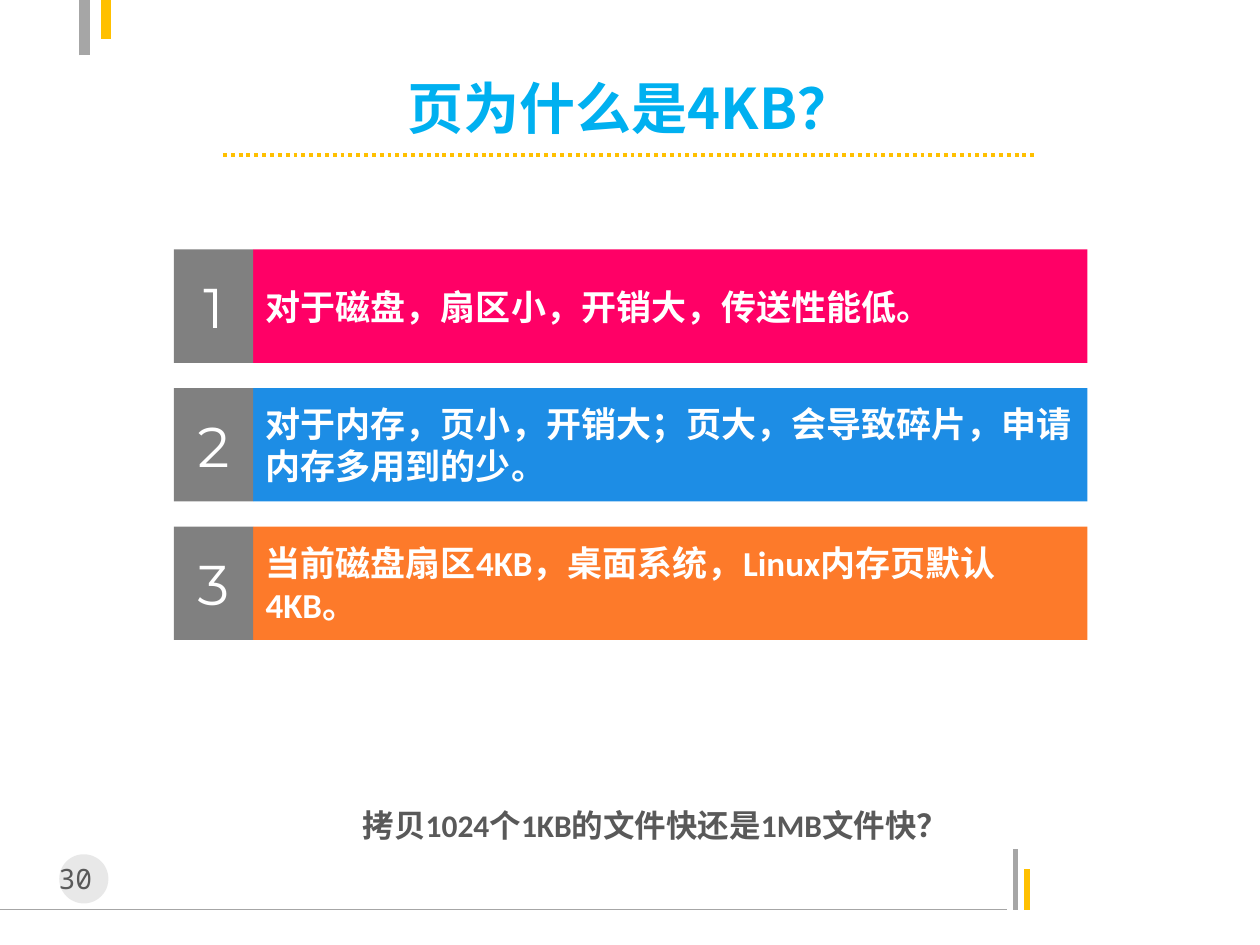
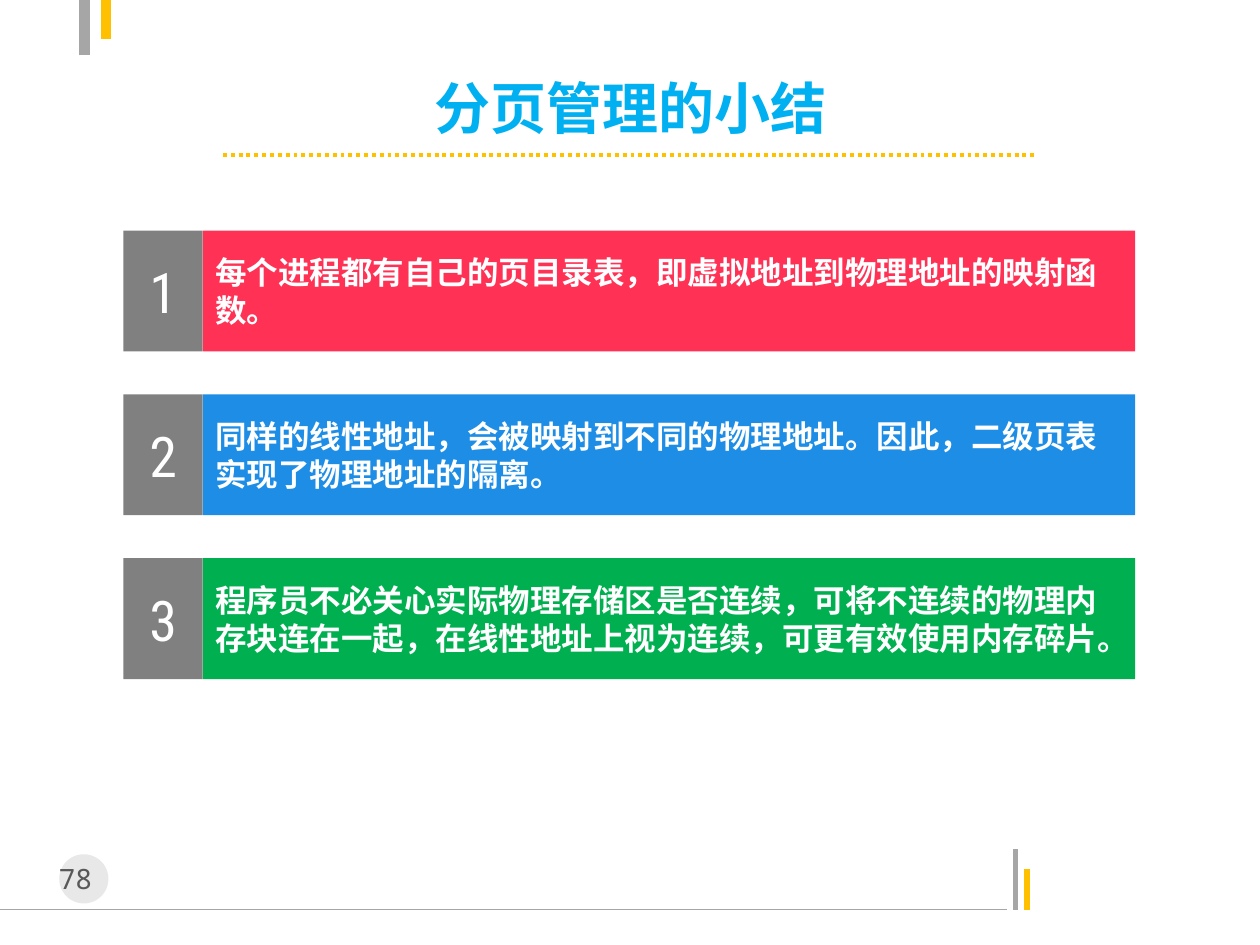
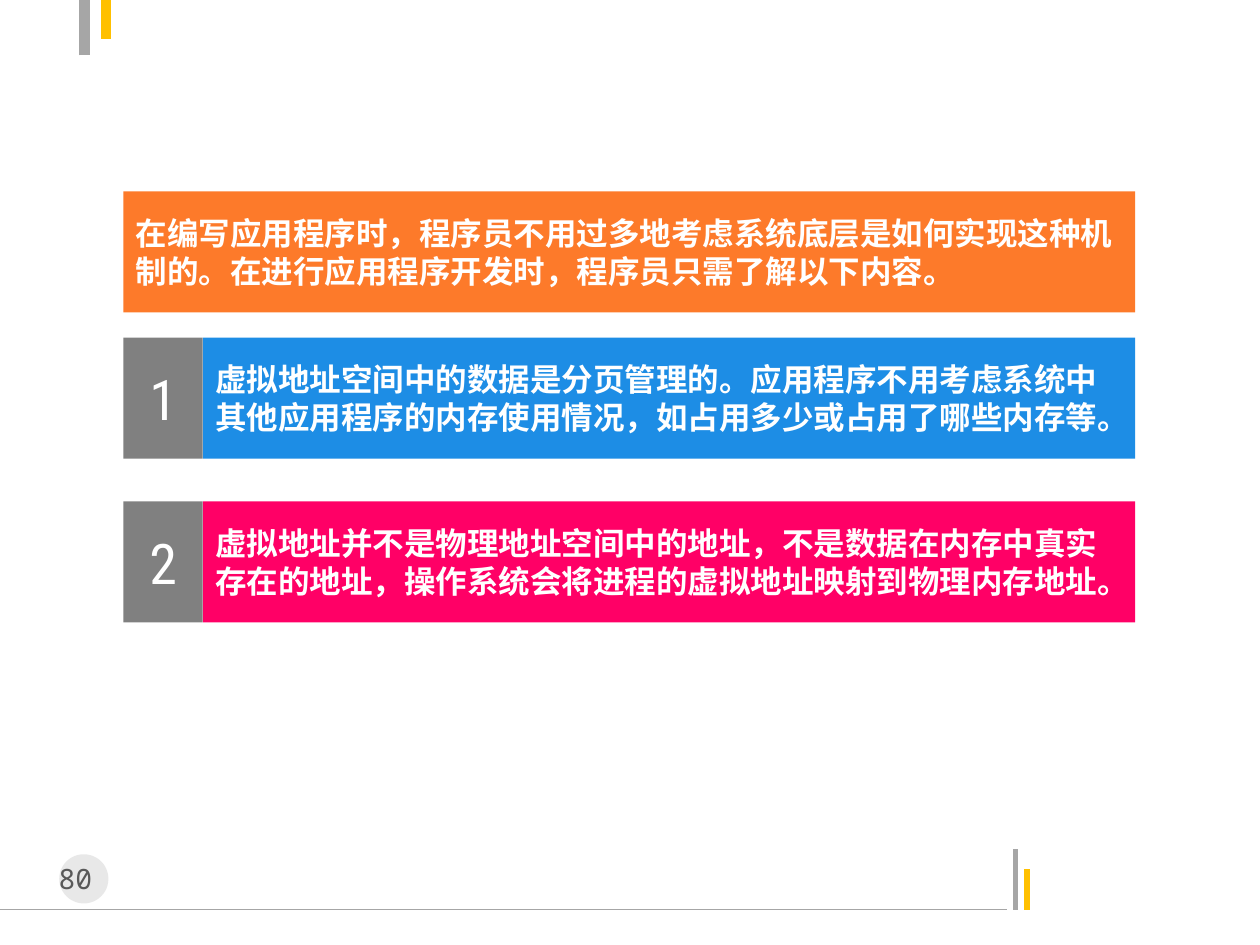
from lxml import etree
from pptx import Presentation
from pptx.dml.color import RGBColor
from pptx.enum.dml import MSO_LINE
from pptx.enum.shapes import MSO_CONNECTOR, MSO_SHAPE
from pptx.enum.text import MSO_ANCHOR, MSO_AUTO_SIZE, PP_ALIGN
from pptx.oxml.ns import qn
from pptx.util import Inches, Pt

RECT, OVAL = MSO_SHAPE.RECTANGLE, MSO_SHAPE.OVAL
STRAIGHT = MSO_CONNECTOR.STRAIGHT
DOTTED = MSO_LINE.ROUND_DOT
MIDDLE = MSO_ANCHOR.MIDDLE
LEFT, CENTER = PP_ALIGN.LEFT, PP_ALIGN.CENTER
FIXED = MSO_AUTO_SIZE.NONE

WHITE = RGBColor(0xFF, 0xFF, 0xFF)
SILVER = RGBColor(0xBF, 0xBF, 0xBF)
LIGHT_GRAY = RGBColor(0xA6, 0xA6, 0xA6)
GRAY = RGBColor(0x80, 0x80, 0x80)
DARK_GRAY = RGBColor(0x59, 0x59, 0x59)
GOLD = RGBColor(0xFF, 0xC0, 0x00)
SKY = RGBColor(0x00, 0xB0, 0xF0)
BLUE = RGBColor(0x1D, 0x8D, 0xE5)
PINK = RGBColor(0xFF, 0x00, 0x66)
RED = RGBColor(0xFF, 0x32, 0x55)
ORANGE = RGBColor(0xFD, 0x7A, 0x2A)
GREEN = RGBColor(0x00, 0xB0, 0x50)

CJK = "Noto Sans CJK SC"
MONO = "Noto Sans Mono"
BODY = "Calibri"
MONTSERRAT = "Montserrat"
CONDENSED = "Roboto Condensed"

TITLE_ONLY, BLANK = 5, 6
NUMBER_WIDTH = 0.63
FRAME_LINES = [
    ((0, 7.22), (7.99, 7.22), LIGHT_GRAY, 0.75),
    ((8.06, 7.22), (8.06, 6.74), LIGHT_GRAY, 3),
    ((8.15, 7.22), (8.15, 6.9), GOLD, 3),
    ((0.67, 0.44), (0.67, -0.03), LIGHT_GRAY, 6),
    ((0.84, 0), (0.84, 0.31), GOLD, 6),
]


def inches(values):
    return [Inches(v) for v in values]


def write(tf, text, size, font, color, bold=False, align=LEFT):
    tf.text = text
    p = tf.paragraphs[0]
    p.alignment = align
    r = p.runs[0]
    r.font.size = Pt(size)
    r.font.name = font
    r.font.bold = bold
    r.font.color.rgb = color
    ea = etree.SubElement(r.font._element, qn("a:ea"))
    ea.set("typeface", CJK)


def add_line(s, start, end, color, width, dash=None):
    line = s.shapes.add_connector(STRAIGHT, *inches(start + end))
    line.line.color.rgb = color
    line.line.width = Pt(width)
    if dash:
        line.line.dash_style = dash
    etree.SubElement(line._element.spPr, qn("a:effectLst"))


def add_block(s, kind, box, color):
    sp = s.shapes.add_shape(kind, *inches(box))
    sp.shadow.inherit = False
    sp.fill.solid()
    sp.fill.fore_color.rgb = color
    sp.line.fill.background()
    sp.text_frame.vertical_anchor = MIDDLE
    return sp


def add_text(s, box, *style, **options):
    tf = s.shapes.add_textbox(*inches(box)).text_frame
    tf.word_wrap = True
    write(tf, *style, **options)


def add_frame(s, number):
    for line in FRAME_LINES:
        add_line(s, *line)
    disc = add_block(s, OVAL, (0.47, 6.78, 0.39, 0.39), SILVER)
    color = disc.fill._xPr.find(".//" + qn("a:srgbClr"))
    etree.SubElement(color, qn("a:alpha")).set("val", "35000")
    add_text(s, (0.31, 6.79, 0.71, 0.37), f"{number} ", 16, MONO, DARK_GRAY, align=CENTER)


def add_title(s, text):
    title = s.shapes.title
    title.left, title.top, title.width, title.height = inches((1.38, 0.6, 7.25, 0.5))
    tf = title.text_frame
    tf.auto_size = FIXED
    tf.word_wrap = False
    tf.vertical_anchor = MIDDLE
    write(tf, text, 32, CJK, SKY, bold=True, align=CENTER)
    add_line(s, (1.77, 1.23), (8.23, 1.23), GOLD, 2.25, DOTTED)


def add_bar(s, box, text, color, size=18, font=CJK):
    bar = add_block(s, RECT, box, color)
    write(bar.text_frame, text, size, font, WHITE, bold=True)


def add_numbered_bars(s, box, pitch, bars, size=18, font=CJK, number_font=CONDENSED):
    left, top, width, height = box
    for i, (text, color) in enumerate(bars):
        y = top + i * pitch
        add_bar(s, (left + NUMBER_WIDTH, y, width - NUMBER_WIDTH, height), text, color, size, font)
        tile = add_block(s, RECT, (left, y, NUMBER_WIDTH, height), GRAY)
        write(tile.text_frame, str(i + 1), 32, number_font, WHITE, align=CENTER)


def add_slide(prs, number, title=None):
    s = prs.slides.add_slide(prs.slide_layouts[TITLE_ONLY if title else BLANK])
    add_frame(s, number)
    if title:
        add_title(s, title)
    return s


def page_size_slide(prs):
    s = add_slide(prs, 30, "页为什么是4KB？")
    add_numbered_bars(s, (1.38, 1.98, 7.25, 0.9), 1.1, [
        ("对于磁盘，扇区小，开销大，传送性能低。", PINK),
        ("对于内存，页小，开销大；页大，会导致碎片，申请内存多用到的少。", BLUE),
        ("当前磁盘扇区4KB，桌面系统，Linux内存页默认4KB。", ORANGE),
    ], 20, BODY, MONTSERRAT)
    add_text(s, (2.78, 6.35, 4.89, 0.4), "拷贝1024个1KB的文件快还是1MB文件快？",
             18, BODY, DARK_GRAY, bold=True)


def paging_summary_slide(prs):
    s = add_slide(prs, 78, "分页管理的小结")
    add_numbered_bars(s, (0.98, 1.83, 8.03, 0.96), 1.3, [
        ("每个进程都有自己的页目录表，即虚拟地址到物理地址的映射函数。", RED),
        ("同样的线性地址，会被映射到不同的物理地址。因此，二级页表实现了物理地址的隔离。", BLUE),
        ("程序员不必关心实际物理存储区是否连续，可将不连续的物理内存块连在一起，"
         "在线性地址上视为连续，可更有效使用内存碎片。", GREEN),
    ])


def programmer_view_slide(prs):
    s = add_slide(prs, 80)
    add_bar(s, (0.98, 1.52, 8.03, 0.96),
            "在编写应用程序时，程序员不用过多地考虑系统底层是如何实现这种机制的。"
            "在进行应用程序开发时，程序员只需了解以下内容。", ORANGE)
    add_numbered_bars(s, (0.98, 2.68, 8.03, 0.96), 1.3, [
        ("虚拟地址空间中的数据是分页管理的。应用程序不用考虑系统中其他应用程序的"
         "内存使用情况，如占用多少或占用了哪些内存等。", BLUE),
        ("虚拟地址并不是物理地址空间中的地址，不是数据在内存中真实存在的地址，"
         "操作系统会将进程的虚拟地址映射到物理内存地址。", PINK),
    ])


def main():
    prs = Presentation()
    prs.slide_width, prs.slide_height = Inches(10), Inches(7.5)
    page_size_slide(prs)
    paging_summary_slide(prs)
    programmer_view_slide(prs)
    prs.save("out.pptx")


if __name__ == "__main__":
    main()
